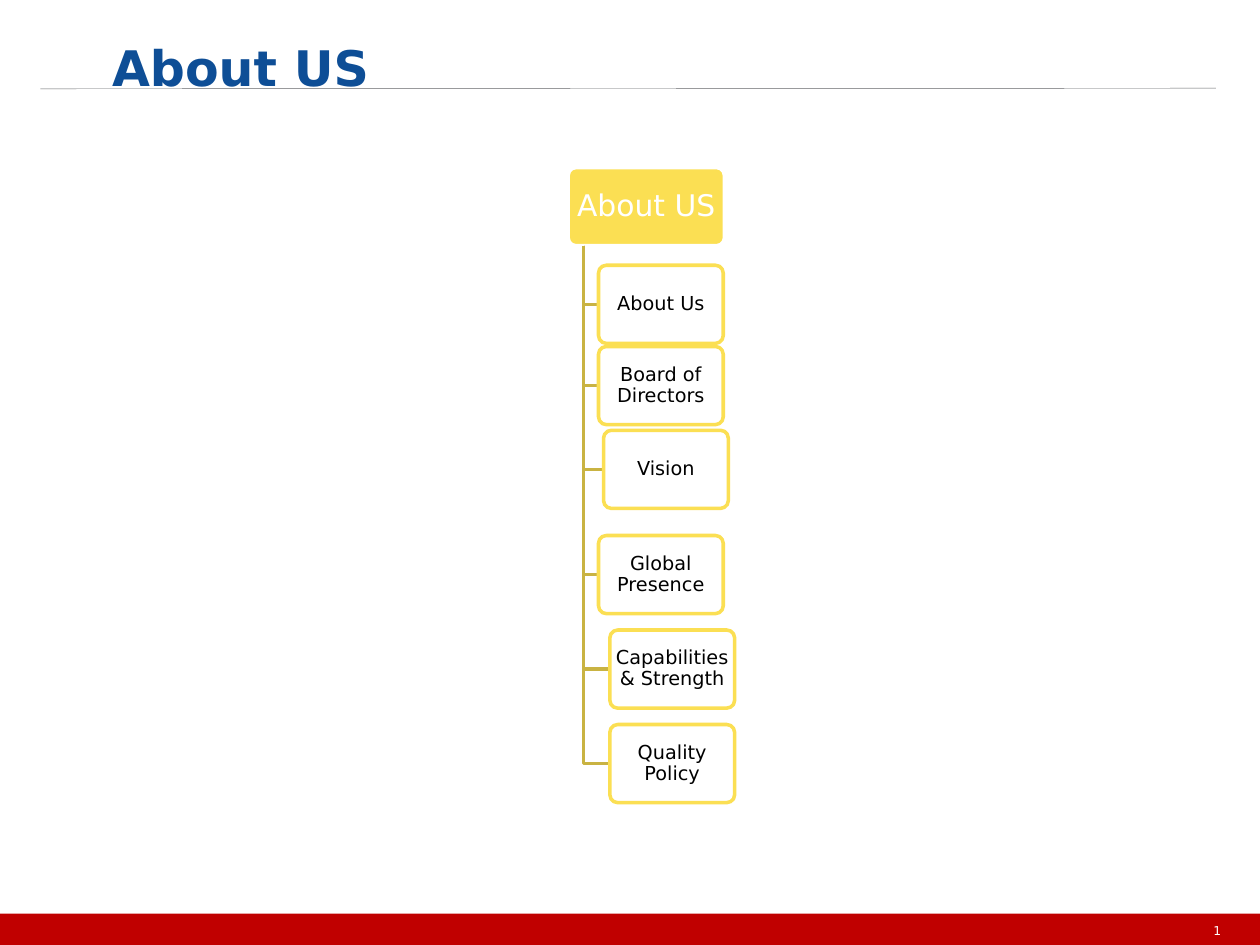
from dataclasses import dataclass

from lxml.etree import SubElement
from pptx import Presentation
from pptx.dml.color import RGBColor
from pptx.enum.shapes import MSO_CONNECTOR, MSO_SHAPE
from pptx.enum.text import MSO_ANCHOR, PP_ALIGN
from pptx.oxml.ns import qn
from pptx.util import Inches, Pt

COLUMNS, ROWS = 100, 75


@dataclass(frozen=True)
class Theme:
    """Colours, type sizes and line widths of the deck."""
    font: str = "DejaVu Sans"
    heading: str = "0E4E96"
    footer: str = "C00000"
    rule: str = "636467"
    accent: str = "FBDF53"
    branch: str = "C9B342"
    light: str = "FFFFFF"
    dark: str = "000000"
    title_size: float = 28
    root_size: float = 17
    topic_size: float = 11
    number_size: float = 7
    hairline: float = 0.25
    stroke: float = 2


class SlideBuilder:
    """Draws themed elements on one slide, measured in grid columns and rows."""

    def __init__(self, deck, theme):
        """Add a title-only slide to the deck."""
        self.theme = theme
        self.column = deck.slide_width / COLUMNS
        self.row = deck.slide_height / ROWS
        self.slide = deck.slides.add_slide(deck.slide_layouts[5])
        self.shapes = self.slide.shapes

    def place(self, x, y):
        """Turn a column and a row into slide lengths."""
        return round(x * self.column), round(y * self.row)

    def paint(self, shape, fill=None, line=None):
        """Set fill and outline and drop the shadow."""
        shape.shadow.inherit = False
        if fill:
            shape.fill.solid()
            shape.fill.fore_color.rgb = RGBColor.from_string(fill)
        else:
            shape.fill.background()
        if line:
            shape.line.color.rgb = RGBColor.from_string(line)
            shape.line.width = Pt(self.theme.stroke)
        else:
            shape.line.fill.background()

    def style(self, paragraph, size, color, align, bold=False):
        """Format a whole paragraph."""
        paragraph.alignment = align
        font = paragraph.font
        font.name, font.size, font.bold = self.theme.font, Pt(size), bold
        font.color.rgb = RGBColor.from_string(color)

    def title(self, text, x, y, width, height):
        """Move, fill and format the title placeholder."""
        heading = self.shapes.title
        heading.left, heading.top = self.place(x, y)
        heading.width, heading.height = self.place(width, height)
        frame = heading.text_frame
        frame.text = text
        frame.vertical_anchor = MSO_ANCHOR.BOTTOM
        self.style(frame.paragraphs[0], self.theme.title_size,
                   self.theme.heading, PP_ALIGN.LEFT, bold=True)

    def band(self, x, y, width, height, fill):
        """Draw a plain filled bar."""
        bar = self.shapes.add_shape(
            MSO_SHAPE.RECTANGLE, *self.place(x, y), *self.place(width, height))
        self.paint(bar, fill)

    def rule(self, start, end):
        """Draw a hairline between two grid points."""
        hairline = self.shapes.add_connector(
            MSO_CONNECTOR.STRAIGHT, *self.place(*start), *self.place(*end))
        hairline.line.color.rgb = RGBColor.from_string(self.theme.rule)
        hairline.line.width = Pt(self.theme.hairline)
        SubElement(hairline._element.spPr, qn("a:effectLst"))

    def branch(self, *points):
        """Draw an open path through grid points."""
        start, *rest = [self.place(*point) for point in points]
        builder = self.shapes.build_freeform(*start)
        builder.add_line_segments(rest, close=False)
        self.paint(builder.convert_to_shape(), line=self.theme.branch)

    def card(self, text, x, y, width, height, fill, line, size, color, inset,
             opacity=100):
        """Draw a rounded box with a centred label."""
        box = self.shapes.add_shape(
            MSO_SHAPE.ROUNDED_RECTANGLE, *self.place(x, y),
            *self.place(width, height))
        box.adjustments[0] = 0.1
        self.paint(box, fill, line)
        if opacity < 100:
            tint = box._element.spPr.find(qn("a:solidFill"))[0]
            SubElement(tint, qn("a:alpha"), val=str(opacity * 1000))
        frame = box.text_frame
        frame.word_wrap = True
        frame.vertical_anchor = MSO_ANCHOR.MIDDLE
        frame.margin_left = frame.margin_right = Inches(inset)
        frame.margin_top = frame.margin_bottom = Inches(0.02)
        frame.text = text
        frame.paragraphs[0].line_spacing = 0.9
        self.style(frame.paragraphs[0], size, color, PP_ALIGN.CENTER)

    def page_number(self, x, y, width, height):
        """Add a right-aligned slide number field."""
        frame = self.shapes.add_textbox(
            *self.place(x, y), *self.place(width, height)).text_frame
        frame.word_wrap = True
        frame.vertical_anchor = MSO_ANCHOR.MIDDLE
        paragraph = frame.paragraphs[0]
        self.style(paragraph, self.theme.number_size, self.theme.light,
                   PP_ALIGN.RIGHT)
        field = SubElement(paragraph._p, qn("a:fld"), type="slidenum",
                           id="{B6F15528-21DE-4FAA-801E-634DDDAF4B2B}")
        SubElement(field, qn("a:rPr"), lang="en-US")
        SubElement(field, qn("a:t")).text = "1"


def draw_topics(page, theme):
    """Draw the root card and the topics hanging from its trunk."""
    trunk, root_bottom = 46.3, 19.5
    topic_width, card_height = 9.9, 6.2
    topics = [
        ("About Us", 47.5, 21.05),
        ("Vision", 47.9, 34.15),
        ("Global Presence", 47.5, 42.5),
        ("Capabilities & Strength", 48.4, 50),
        ("Board of Directors", 47.5, 27.5),
        ("Quality Policy", 48.4, 57.5),
    ]
    page.card("About US", 45.1, root_bottom - card_height, 12.4, card_height,
              theme.accent, theme.light, theme.root_size, theme.light, 0.03)
    for label, left, top in topics:
        middle = top + card_height / 2
        page.branch((trunk, root_bottom), (trunk, middle), (left, middle))
        page.card(label, left, top, topic_width, card_height, theme.light,
                  theme.accent, theme.topic_size, theme.dark, 0.01, opacity=90)


def main():
    """Build and save the slide."""
    deck = Presentation()
    deck.slide_width, deck.slide_height = Inches(10), Inches(7.5)
    theme = Theme()
    page = SlideBuilder(deck, theme)
    page.band(0, 72.5, COLUMNS, 2.5, theme.footer)
    page.rule((3.2, 7.05), (96.5, 7))
    page.title("About US", 7.9, 0.25, 90, 7.9)
    draw_topics(page, theme)
    page.page_number(74.6, 72.7, 23.3, 2.3)
    deck.save("out.pptx")


main()
